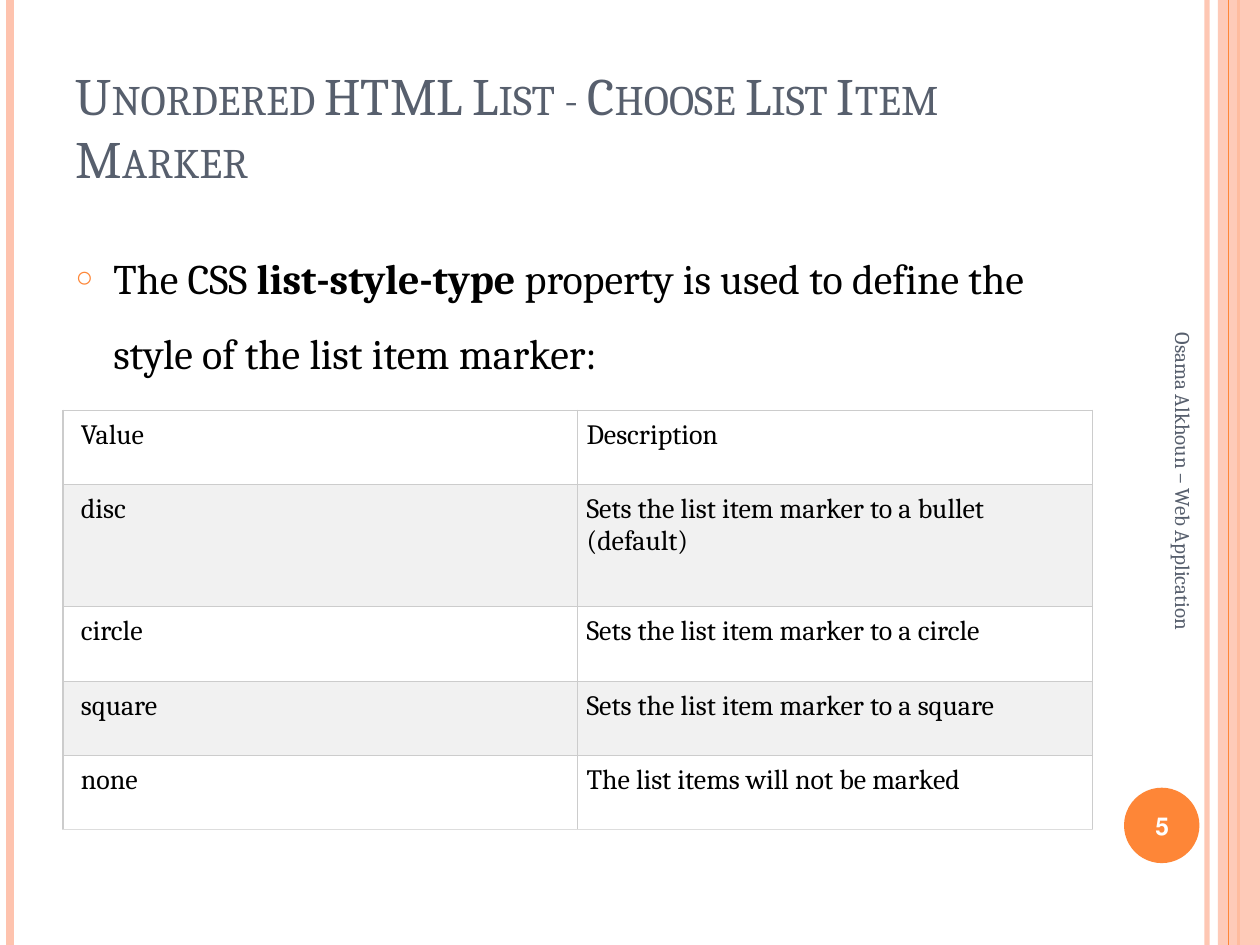
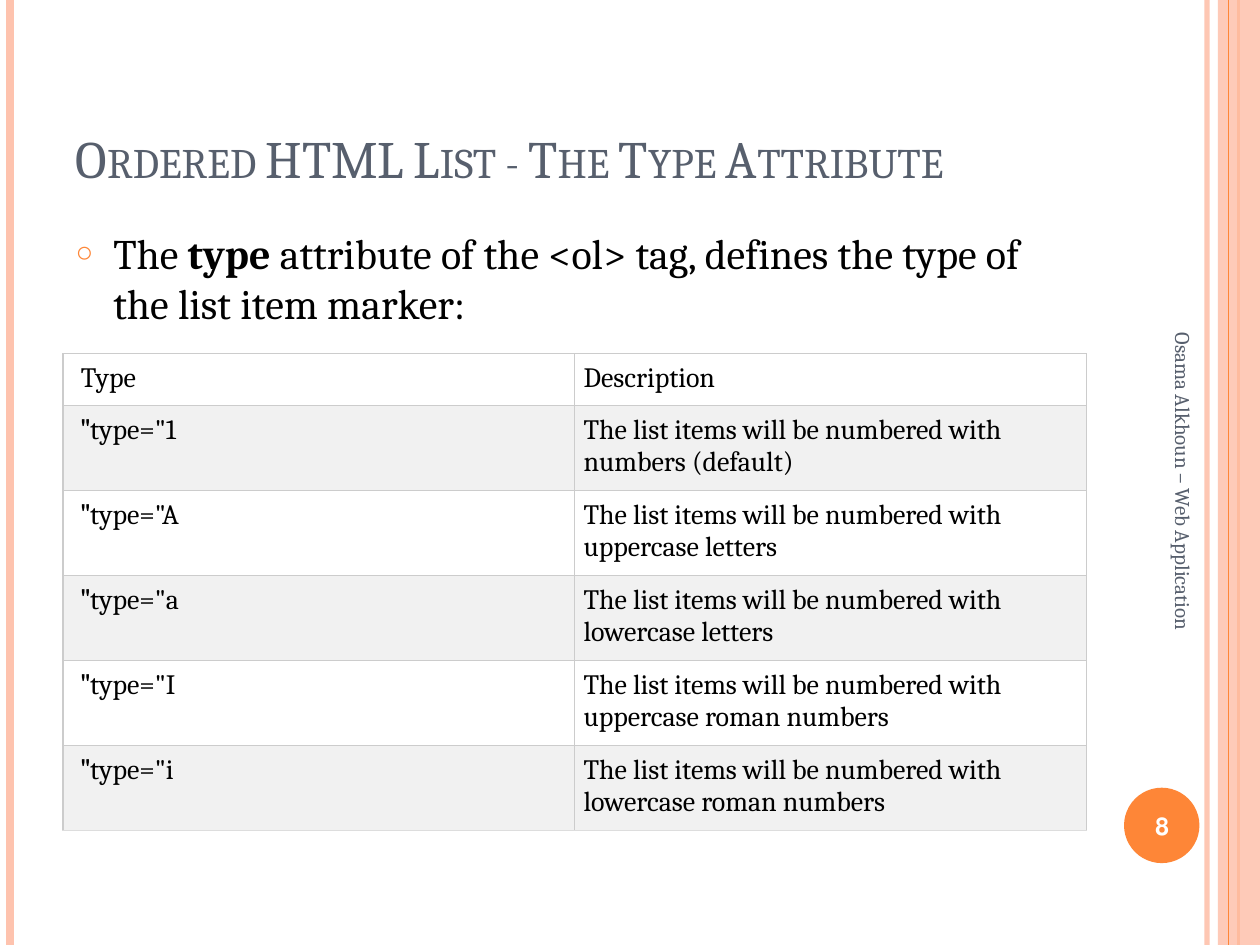
"""Build two lesson slides about HTML list markers."""
from lxml import etree
from pptx import Presentation
from pptx.dml.color import RGBColor
from pptx.enum.shapes import MSO_CONNECTOR, MSO_SHAPE
from pptx.enum.text import MSO_ANCHOR, MSO_AUTO_SIZE, PP_ALIGN
from pptx.oxml.ns import qn
from pptx.util import Cm, Pt

STRAIGHT = MSO_CONNECTOR.STRAIGHT
RECT, OVAL = MSO_SHAPE.RECTANGLE, MSO_SHAPE.OVAL
MIDDLE, BOTTOM = MSO_ANCHOR.MIDDLE, MSO_ANCHOR.BOTTOM
NO_FIT = MSO_AUTO_SIZE.NONE
LEFT, CENTER = PP_ALIGN.LEFT, PP_ALIGN.CENTER

FONT = "Cambria"
WIDTH, HEIGHT = 25.4, 19.05
MARGIN, CONTENT_WIDTH = 1.27, 20.75
ORANGE, PEACH, SLATE = "FE8637", "FEC3AE", "575F6D"
BLACK, WHITE, STRIPE = "000000", "FFFFFF", "F1F1F1"
BORDER, LAST_BORDER = "CCCCCC", "DDDDDD"
FOOTER = "Osama Alkhoun – Web Application"


def rgb(value):
    return RGBColor.from_string(value)


def child(parent, tag, **attributes):
    return etree.SubElement(parent, qn(tag), attributes)


def set_alpha(shape, percent):
    for color in shape.element.spPr.iter(qn("a:srgbClr")):
        child(color, "a:alpha", val=str(percent * 1000))


def place(shape, left, top, width, height):
    shape.left, shape.top = Cm(left), Cm(top)
    shape.width, shape.height = Cm(width), Cm(height)


class Deck:
    def __init__(self):
        self.prs = Presentation()
        self.prs.slide_width, self.prs.slide_height = Cm(WIDTH), Cm(HEIGHT)
        self.s = None

    def add_slide(self, number):
        self.s = self.prs.slides.add_slide(self.prs.slide_layouts[1])
        self.disc(22.66, 15.88, 1.52)
        self.rule(24.33, PEACH, 3, 93)
        self.rule(0.2, PEACH, 4.5)
        self.rule(24.97, ORANGE, 1.5)
        self.band(24.55, PEACH, 87)
        self.rule(24.77, ORANGE, 0.75)
        footer = self.label(FOOTER, (19.41, 10.39, 8.89, 1.02), 12, SLATE)
        footer.rotation = 90
        self.label(str(number), (22.58, 15.93, 1.7, 1.45), 14, WHITE, True, CENTER)

    def style(self, p, size, color, bold=None, align=LEFT, rtl=True):
        p.alignment = align
        if rtl:
            p._p.get_or_add_pPr().set("rtl", "1")
        p.font.name, p.font.size, p.font.bold = FONT, Pt(size), bold
        p.font.color.rgb = rgb(color)

    def fill_shape(self, kind, box, color):
        sp = self.s.shapes.add_shape(kind, *map(Cm, box))
        sp.shadow.inherit = False
        sp.fill.solid()
        sp.fill.fore_color.rgb = rgb(color)
        sp.line.fill.background()
        return sp

    def disc(self, left, top, size):
        self.fill_shape(OVAL, (left, top, size, size), ORANGE)

    def band(self, left, color, alpha):
        sp = self.fill_shape(RECT, (left, 0, WIDTH - left, HEIGHT), color)
        set_alpha(sp, alpha)

    def rule(self, x, color, width, alpha=100):
        line = self.s.shapes.add_connector(STRAIGHT, Cm(x), Cm(0), Cm(x), Cm(HEIGHT))
        line.line.color.rgb = rgb(color)
        line.line.width = Pt(width)
        child(line.element.spPr, "a:effectLst")
        if alpha < 100:
            set_alpha(line, alpha)

    def label(self, text, box, size, color, bold=None, align=LEFT):
        sp = self.s.shapes.add_textbox(*map(Cm, box))
        tf = sp.text_frame
        tf.word_wrap = True
        tf.vertical_anchor = MIDDLE
        tf.text = text
        self.style(tf.paragraphs[0], size, color, bold, align)
        return sp

    def title(self, text):
        sp = self.s.shapes.title
        place(sp, MARGIN, 0.76, CONTENT_WIDTH, 3.18)
        tf = sp.text_frame
        tf.auto_size, tf.vertical_anchor = NO_FIT, BOTTOM
        tf.text = text
        p = tf.paragraphs[0]
        self.style(p, 30, SLATE)
        p.font._element.set("cap", "small")

    def bullet(self, before, strong, after, spacing=1.0):
        sp = self.s.placeholders[1]
        place(sp, MARGIN, 4.45, CONTENT_WIDTH, 13.55)
        tf = sp.text_frame
        tf.auto_size = NO_FIT
        p = tf.paragraphs[0]
        p.line_spacing, p.space_before = spacing, Pt(6)
        pPr = p._p.get_or_add_pPr()
        pPr.set("marL", str(Cm(0.76)))
        pPr.set("indent", str(-Cm(0.76)))
        child(child(pPr, "a:buClr"), "a:srgbClr", val=ORANGE)
        child(pPr, "a:buSzPct", val="70000")
        child(pPr, "a:buChar", char="○")
        self.style(p, 24, BLACK, rtl=False)
        for text in (before, strong, after):
            r = p.add_run()
            r.text = text
            if text == strong:
                r.font.bold = True

    def cell(self, cell, text, fill, left_inset, bottom):
        cell.margin_left = Cm(left_inset)
        cell.margin_right = cell.margin_top = cell.margin_bottom = Cm(0.18)
        cell.text = text
        self.style(cell.text_frame.paragraphs[0], 16, BLACK)
        tcPr = cell._tc.get_or_add_tcPr()
        for side, color in zip("LRTB", (BORDER, BORDER, BORDER, bottom)):
            line = child(tcPr, f"a:ln{side}", w=str(Pt(0.75)))
            child(child(line, "a:solidFill"), "a:srgbClr", val=color)
        cell.fill.solid()
        cell.fill.fore_color.rgb = rgb(fill)

    def table(self, top, width, heights, rows):
        frame = self.s.shapes.add_table(
            len(rows), 2, Cm(MARGIN), Cm(top), Cm(width), Cm(sum(heights)))
        table = frame.table
        table.first_row = table.horz_banding = False
        for column in table.columns:
            column.width = Cm(width / 2)
        for i, (height, texts) in enumerate(zip(heights, rows)):
            table.rows[i].height = Cm(height)
            fill = STRIPE if i % 2 else WHITE
            bottom = LAST_BORDER if i == len(rows) - 1 else BORDER
            for j, (text, inset) in enumerate(zip(texts, (0.36, 0.18))):
                self.cell(table.cell(i, j), text, fill, inset, bottom)


def main():
    deck = Deck()

    deck.add_slide(5)
    deck.title("Unordered HTML List - Choose List Item Marker")
    deck.bullet("The CSS ", "list-style-type",
                " property is used to define the style of the list item marker:", 1.5)
    deck.table(8.27, CONTENT_WIDTH, [1.5, 2.46, 1.5, 1.5, 1.5], [
        ("Value", "Description"),
        ("disc", "Sets the list item marker to a bullet (default)"),
        ("circle", "Sets the list item marker to a circle"),
        ("square", "Sets the list item marker to a square"),
        ("none", "The list items will not be marked"),
    ])

    deck.add_slide(8)
    deck.title("Ordered HTML List - The Type Attribute")
    deck.bullet("The ", "type",
                " attribute of the <ol> tag, defines the type of the list item marker:")
    markers = [("1", "numbers (default)"), ("A", "uppercase letters"),
               ("a", "lowercase letters"), ("I", "uppercase roman numbers"),
               ("i", "lowercase roman numbers")]
    rows = [(f'type="{mark}"', f"The list items will be numbered with {kind}")
            for mark, kind in markers]
    deck.table(7.13, 20.63, [0.97] + [1.6] * len(rows),
               [("Type", "Description")] + rows)

    deck.prs.save("out.pptx")


if __name__ == "__main__":
    main()
